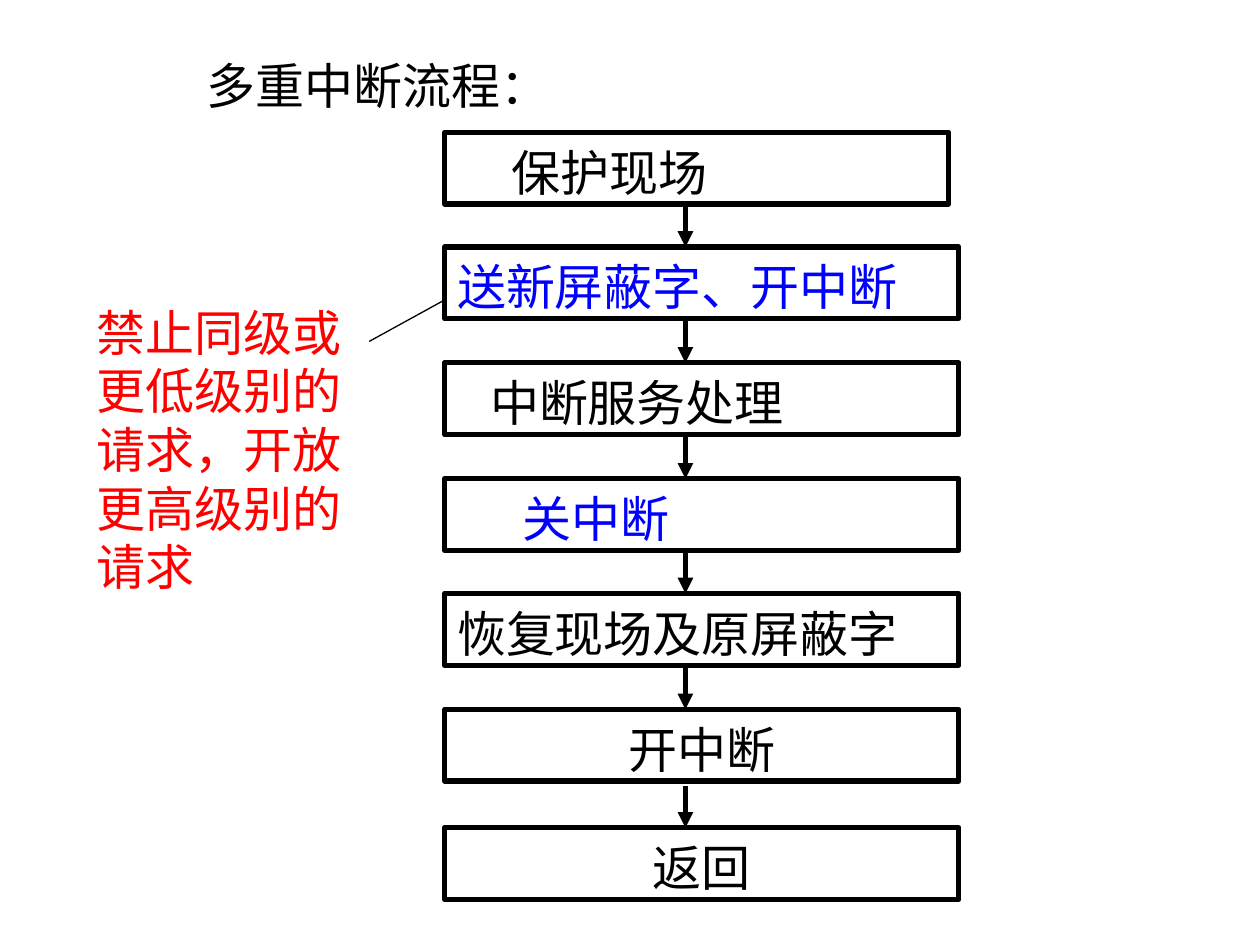
"""Build the flow slide for nested interrupts."""
import pptx
import pptx.dml.color
import pptx.enum.shapes
import pptx.enum.text
import pptx.oxml
import pptx.oxml.ns
import pptx.util

Inches, Pt = pptx.util.Inches, pptx.util.Pt
ALIGN = pptx.enum.text.PP_ALIGN
FONT = "Noto Sans CJK SC"
COLORS = {"black": "000000", "blue": "0000FF", "red": "FF0000"}
TITLE = "多重中断流程："
NOTE = "禁止同级或更低级别的请求，开放更高级别的请求"
STEPS = [
    ("保护现场", 1.05, 4, "black", ALIGN.LEFT, 0.43),
    ("送新屏蔽字、开中断", 1.96, 4.08, "blue", ALIGN.LEFT, 0),
    ("中断服务处理", 2.88, 4.08, "black", ALIGN.LEFT, 0.26),
    ("关中断", 3.8, 4.08, "blue", ALIGN.LEFT, 0.52),
    ("恢复现场及原屏蔽字", 4.71, 4.08, "black", ALIGN.LEFT, 0),
    ("开中断", 5.63, 4.08, "black", ALIGN.CENTER, 0),
    ("返回", 6.57, 4.08, "black", ALIGN.CENTER, 0),
]
LEFT, HIGH, MID, GAP = 3.53, 0.57, 5.44, 0.33


def rgb(name):
    return pptx.dml.color.RGBColor.from_string(COLORS[name])


def node(tag, **attrs):
    item = pptx.oxml.parse_xml(f"<a:{tag} {pptx.oxml.ns.nsdecls('a')}/>")
    for key, value in attrs.items():
        item.set(key, value)
    return item


def write(shape, text, color, align=ALIGN.LEFT, indent=0):
    frame = shape.text_frame
    frame.word_wrap = True
    frame.auto_size = pptx.enum.text.MSO_AUTO_SIZE.NONE
    frame.vertical_anchor = pptx.enum.text.MSO_ANCHOR.TOP
    frame.margin_left, frame.margin_right = Inches(0.1 + indent), Inches(0.1)
    frame.margin_top, frame.margin_bottom = Inches(0.08), Inches(0.02)
    para = frame.paragraphs[0]
    para.alignment = align
    para.line_spacing = Pt(33.5)
    para.space_before = Pt(0)
    run = para.add_run()
    run.text = text
    run.font.size = Pt(28)
    run.font.name = FONT
    run.font.color.rgb = rgb(color)
    run.font._element.append(node("ea", typeface=FONT))


def link(slide, start, end, width, arrow=False):
    line = slide.shapes.add_connector(
        pptx.enum.shapes.MSO_CONNECTOR.STRAIGHT, *map(Inches, start + end))
    line.line.color.rgb = rgb("black")
    line.line.width = Pt(width)
    if arrow:
        line.line._get_or_add_ln().append(node("tailEnd", type="triangle"))
    line._element.spPr.append(node("effectLst"))


def main():
    deck = pptx.Presentation()
    deck.slide_width, deck.slide_height = Inches(10), Inches(7.5)
    slide = deck.slides.add_slide(deck.slide_layouts[5])
    title = slide.shapes.title
    title.left, title.top = Inches(1.54), Inches(0.36)
    title.width, title.height = Inches(3.62), Inches(HIGH)
    write(title, TITLE, "black")
    note = slide.shapes.add_textbox(*map(Inches, (0.67, 2.32, 2.2, 2.46)))
    write(note, NOTE, "red")
    for i, (text, top, wide, color, align, indent) in enumerate(STEPS):
        box = slide.shapes.add_shape(
            pptx.enum.shapes.MSO_SHAPE.RECTANGLE,
            *map(Inches, (LEFT, top, wide, HIGH)))
        box.shadow.inherit = False
        box.fill.background()
        box.line.color.rgb = rgb("black")
        box.line.width = Pt(3)
        write(box, text, color, align, indent)
        if i:
            link(slide, (MID, top - GAP), (MID, top), 3, True)
    link(slide, (2.93, 2.71), (LEFT, 2.38), 0.75)
    deck.save("out.pptx")


if __name__ == "__main__":
    main()
